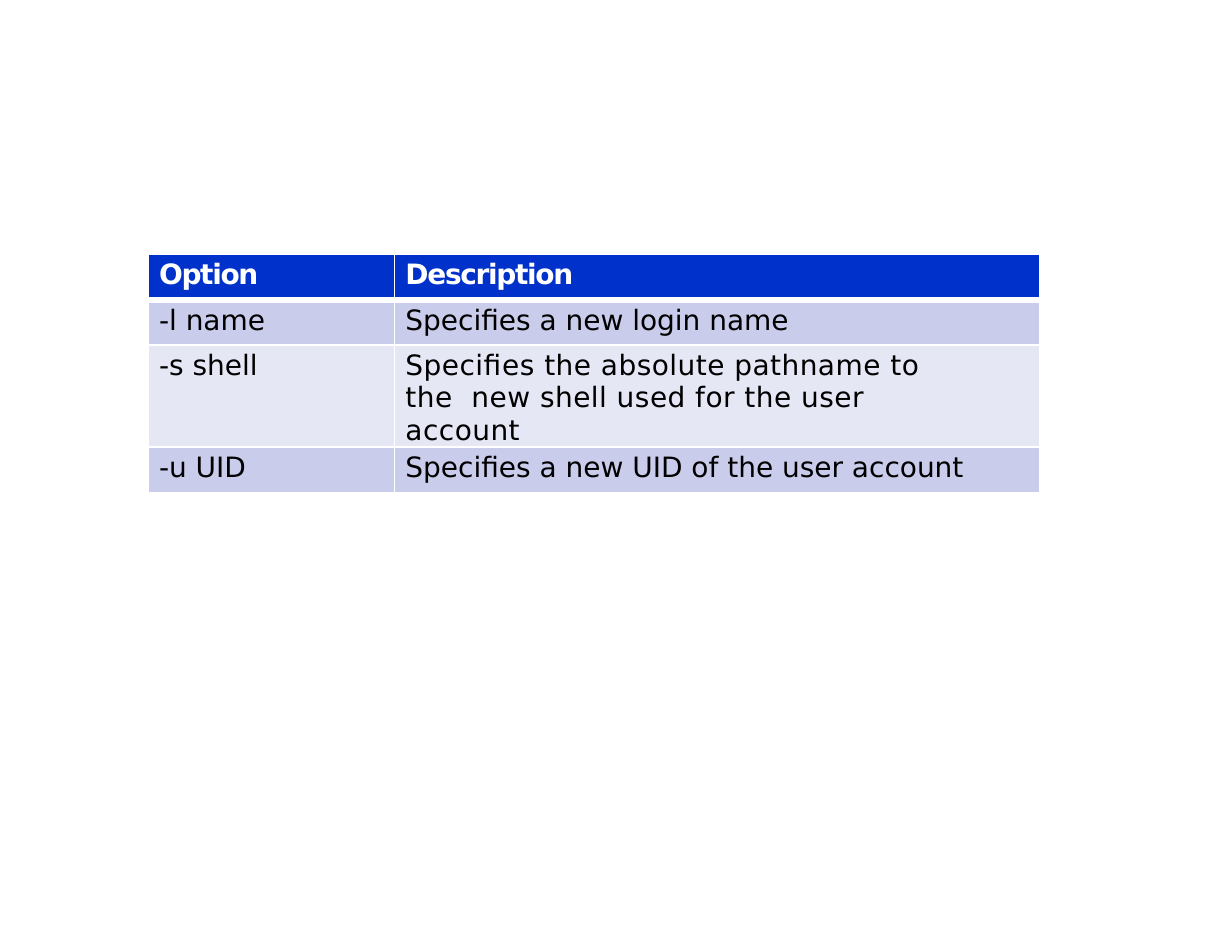
import pptx
import pptx.dml.color
import pptx.oxml
import pptx.oxml.ns
import pptx.util
from pptx.util import Inches

HEADER_BLUE = pptx.dml.color.RGBColor(0x00, 0x32, 0xCB)
BAND_DARK = pptx.dml.color.RGBColor(0xCA, 0xCC, 0xEB)
BAND_LIGHT = pptx.dml.color.RGBColor(0xE6, 0xE7, 0xF5)
WHITE = pptx.dml.color.RGBColor(0xFF, 0xFF, 0xFF)
BLACK = pptx.dml.color.RGBColor(0x00, 0x00, 0x00)

FONT = "DejaVu Sans"
COLUMN_WIDTHS = (2.2, 5.76)
ROW_HEIGHTS = (0.41, 0.4, 0.7, 0.41)
OPTIONS = (
    ("Option", "Description"),
    ("-l name", "Specifies a new login name"),
    ("-s shell", "Specifies the absolute pathname to the  new shell used for the user account"),
    ("-u UID", "Specifies a new UID of the user account"),
)
WRAPPED_CELL = (2, 1)


def set_borders(cell, widths):
    """Draw white borders; widths maps each side (L, R, T, B) to points."""
    properties = cell._tc.get_or_add_tcPr()
    for position, (side, points) in enumerate(widths.items()):
        line = pptx.oxml.parse_xml(
            f'<a:ln{side} {pptx.oxml.ns.nsdecls("a")} w="{pptx.util.Pt(points)}">'
            f'<a:solidFill><a:srgbClr val="{WHITE}"/></a:solidFill></a:ln{side}>'
        )
        properties.insert(position, line)


def write_cell(cell, text, color, bold, tracking):
    """Fill in one cell; tracking is in hundredths of a point."""
    cell.margin_left, cell.margin_top = Inches(0.1), Inches(0.04)
    cell.margin_right = cell.margin_bottom = 0
    para = cell.text_frame.paragraphs[0]
    para.text = text
    para.space_before = pptx.util.Pt(2.8)
    for span in para.runs:
        span.font.name = FONT
        span.font.size = pptx.util.Pt(18)
        span.font.bold = bold
        span.font.color.rgb = color
        span.font._element.set("spc", str(tracking))


def add_option_table(page, left, top, width, height):
    table = page.shapes.add_table(
        len(OPTIONS), len(COLUMN_WIDTHS), left, top, width, height
    ).table
    for column, size in zip(table.columns, COLUMN_WIDTHS):
        column.width = Inches(size)
    for row, size in zip(table.rows, ROW_HEIGHTS):
        row.height = Inches(size)

    for r, texts in enumerate(OPTIONS):
        header = r == 0
        band = BAND_DARK if r % 2 else BAND_LIGHT
        for c, text in enumerate(texts):
            cell = table.cell(r, c)
            wrapped = (r, c) == WRAPPED_CELL
            tracking = -85 if header else 30 if wrapped else 0
            write_cell(cell, text, WHITE if header else BLACK, header, tracking)
            if wrapped:
                cell.margin_right = Inches(0.9)
            cell.fill.solid()
            cell.fill.fore_color.rgb = HEADER_BLUE if header else band
            # A heavy rule parts the header from the body
            set_borders(cell, {
                "L": 1 if c else 1.5,
                "R": 1,
                "T": 4.25 if r == 1 else 1.5,
                "B": 4.25 if header else 1.5,
            })


def main():
    deck = pptx.Presentation()
    deck.slide_width, deck.slide_height = Inches(11), Inches(8.5)
    page = deck.slides.add_slide(deck.slide_layouts[6])
    # Table of command options
    add_option_table(page, Inches(1.32), Inches(2.27),
                     Inches(sum(COLUMN_WIDTHS)), Inches(sum(ROW_HEIGHTS)))
    deck.save("out.pptx")


if __name__ == "__main__":
    main()
